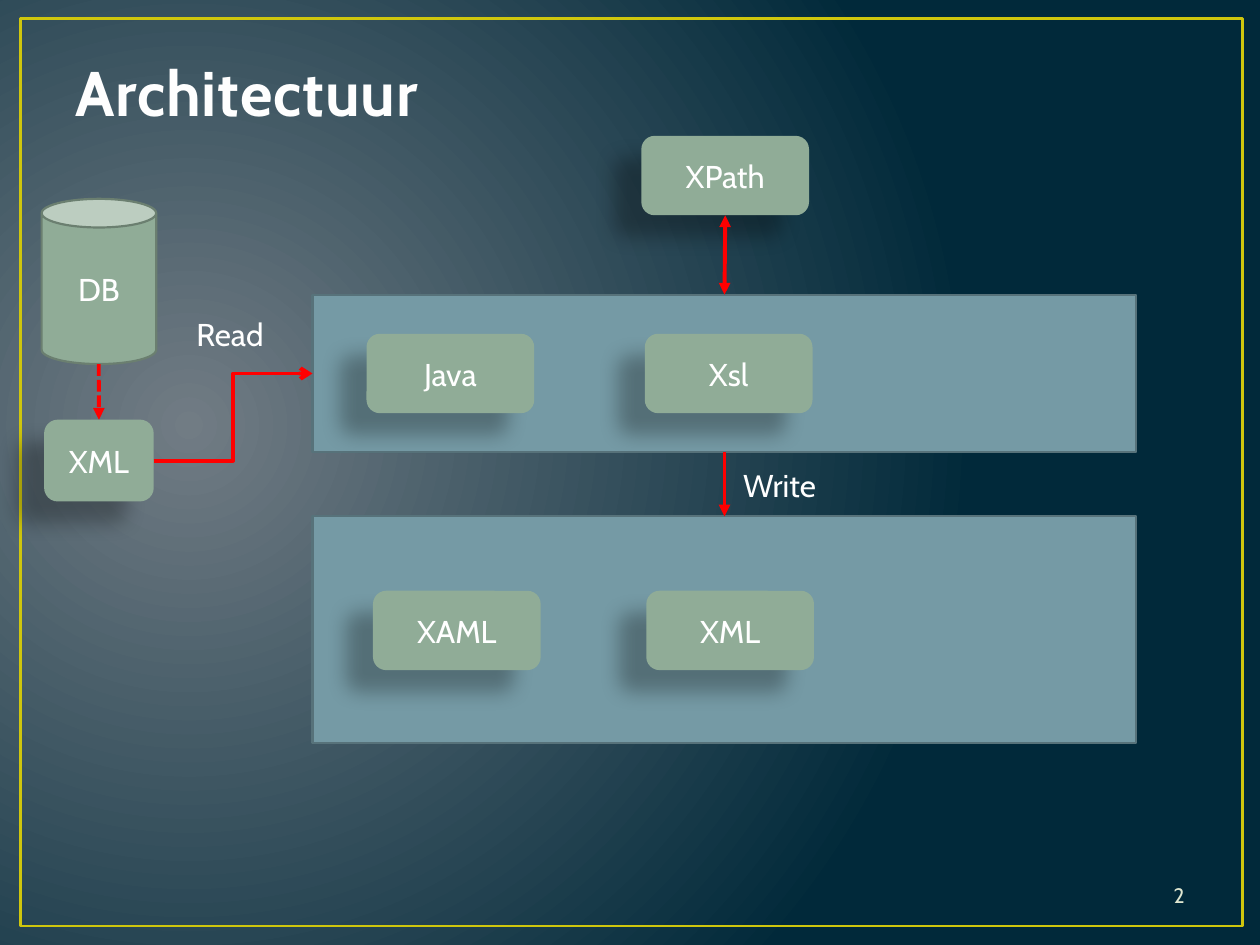
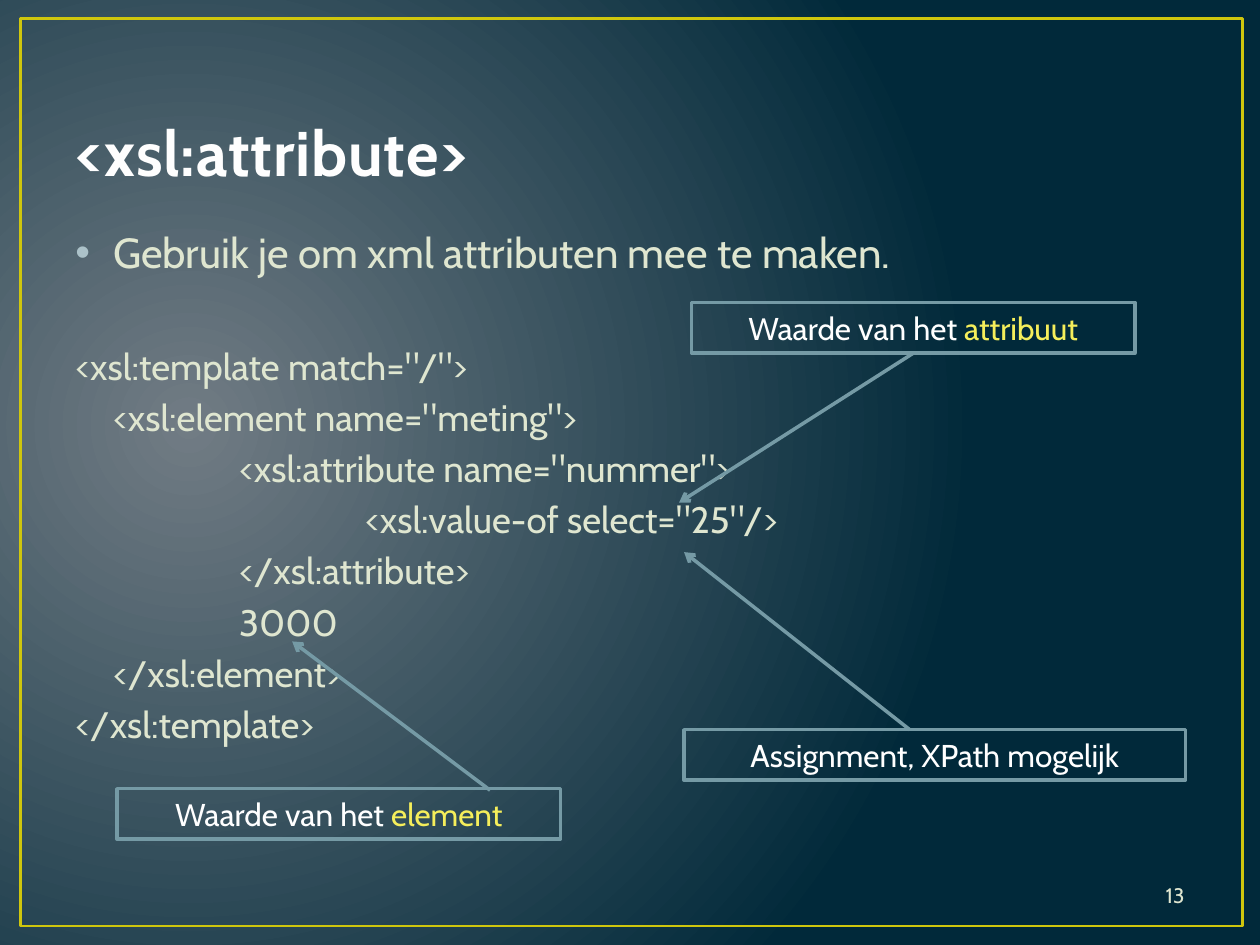
from dataclasses import dataclass

import pptx
import pptx.dml.color
import pptx.enum.dml
import pptx.enum.shapes
import pptx.enum.text
import pptx.oxml
import pptx.oxml.ns
import pptx.util
from pptx.util import Cm, Pt

SHAPES = pptx.enum.shapes.MSO_SHAPE
CONNECTORS = pptx.enum.shapes.MSO_CONNECTOR
ALIGN = pptx.enum.text.PP_ALIGN
ANCHOR = pptx.enum.text.MSO_ANCHOR
AUTO_SIZE = pptx.enum.text.MSO_AUTO_SIZE
DASH = pptx.enum.dml.MSO_LINE
qn = pptx.oxml.ns.qn


@dataclass(frozen=True)
class Theme:
    font: str = "Cabin"
    glow: str = "717C84"
    night: str = "01293A"
    frame: str = "CFC60D"
    title: str = "FEFEFE"
    title_outline: str = "384F55"
    body: str = "DFE6D0"
    bullet: str = "ACC2C9"
    label: str = "FFFFFF"
    accent: str = "F5EE5B"
    band: str = "759AA5"
    band_line: str = "57727A"
    node: str = "90AC97"
    node_line: str = "6B7F70"
    flow: str = "FF0000"
    title_size: float = 36
    body_size: float = 24
    code_size: float = 21
    label_size: float = 18
    number_size: float = 12


def rgb(value):
    return pptx.dml.color.RGBColor.from_string(value)


def apply(target, values):
    for name, value in values.items():
        setattr(target, name, value)


def xml(markup):
    namespace = pptx.oxml.ns.nsdecls("a")
    tag, rest = markup[1:].split(" ", 1)
    return pptx.oxml.parse_xml(f"<{tag} {namespace} {rest}")


class Deck:
    """Holds the style and the slide being built."""

    def __init__(self, theme):
        self.theme = theme
        self.presentation = pptx.Presentation()
        apply(self.presentation, {"slide_width": Cm(25.4), "slide_height": Cm(19.05)})
        self.slide = None

    def new_slide(self, title, title_box, number):
        self.slide = self.presentation.slides.add_slide(self.presentation.slide_layouts[6])
        self.background()
        self.shape(SHAPES.RECTANGLE, (0.41, 0.38, 24.64, 18.29), line=self.theme.frame, width=1.5)
        self.title(title, title_box)
        self.text_box((18.21, 17.53, 5.92, 1.02), number, self.theme.number_size,
                      self.theme.body, ALIGN.RIGHT, ANCHOR.MIDDLE)

    def background(self):
        fill = self.slide.background.fill
        fill.gradient()
        colors = (self.theme.glow, self.theme.night)
        for position, (stop, color) in enumerate(zip(fill.gradient_stops, colors)):
            stop.color.rgb = rgb(color)
            stop.position = position
        gradient = next(self.slide.element.iter(qn("a:gradFill")))
        gradient.replace(gradient.find(qn("a:lin")), xml(
            '<a:path path="circle"><a:fillToRect l="15000" t="50000" r="85000" b="60000"/></a:path>'))

    def text_run(self, paragraph, text, size, color, bold=False):
        run = paragraph.add_run()
        run.text = text
        apply(run.font, {"name": self.theme.font, "size": Pt(size), "bold": bold})
        run.font.color.rgb = rgb(color)
        return run

    def text_box(self, box, text, size, color, align=ALIGN.LEFT, anchor=ANCHOR.TOP, bold=False):
        shape = self.slide.shapes.add_textbox(*map(Cm, box))
        apply(shape.text_frame, {"word_wrap": True, "vertical_anchor": anchor})
        paragraph = shape.text_frame.paragraphs[0]
        paragraph.alignment = align
        return self.text_run(paragraph, text, size, color, bold)

    def title(self, text, box):
        run = self.text_box(box, text, self.theme.title_size, self.theme.title,
                            anchor=ANCHOR.BOTTOM, bold=True)
        properties = run.font._element
        properties.set("spc", "50")
        properties.insert(0, xml(
            f'<a:ln w="{Pt(1.05)}"><a:solidFill><a:srgbClr val="{self.theme.title_outline}"/>'
            '</a:solidFill></a:ln>'))

    def label(self, box, text):
        self.text_box(box, text, self.theme.label_size, self.theme.label)

    def shape(self, kind, box, fill=None, line=None, width=1.25):
        shape = self.slide.shapes.add_shape(kind, *map(Cm, box))
        shape.shadow.inherit = False
        if fill:
            shape.fill.solid()
            shape.fill.fore_color.rgb = rgb(fill)
        else:
            shape.fill.background()
        if line:
            shape.line.color.rgb = rgb(line)
            shape.line.width = Pt(width)
        else:
            shape.line.fill.background()
        return shape

    def caption(self, shape, *parts, anchor=ANCHOR.MIDDLE):
        apply(shape.text_frame, {"word_wrap": True, "vertical_anchor": anchor})
        paragraph = shape.text_frame.paragraphs[0]
        paragraph.alignment = ALIGN.CENTER
        for text, color in parts:
            self.text_run(paragraph, text, self.theme.label_size, color)

    def band(self, top, height):
        return self.shape(SHAPES.RECTANGLE, (6.3, top, 16.61, height),
                          self.theme.band, self.theme.band_line)

    def database(self, box, text):
        shape = self.shape(SHAPES.CAN, box, self.theme.node, self.theme.node_line)
        self.caption(shape, (text, self.theme.label))

    def node(self, text, left, top, width=3.38, height=1.6, kind=SHAPES.ROUNDED_RECTANGLE):
        shape = self.shape(kind, (left, top, width, height), self.theme.node)
        shape.element.spPr.find(qn("a:effectLst")).append(xml(
            f'<a:outerShdw blurRad="{Pt(11.8)}" dist="{Pt(19.7)}" dir="8460000" rotWithShape="0">'
            '<a:srgbClr val="000000"><a:alpha val="28000"/></a:srgbClr></a:outerShdw>'))
        self.caption(shape, (text, self.theme.label))
        return shape

    def callout(self, box, *parts):
        shape = self.shape(SHAPES.RECTANGLE, box, line=self.theme.band, width=2)
        self.caption(shape, *parts, anchor=ANCHOR.TOP)
        shape.text_frame.auto_size = AUTO_SIZE.SHAPE_TO_FIT_TEXT
        return shape

    def arrow(self, start, end, color, width, tail="triangle", head=None,
              kind=CONNECTORS.STRAIGHT, dash=None):
        """Each end is a point (x, y) in cm or a pair (shape, side)."""
        joined = [not isinstance(place[0], (int, float)) for place in (start, end)]
        points = [(0, 0) if glued else place for glued, place in zip(joined, (start, end))]
        connector = self.slide.shapes.add_connector(
            kind, *(Cm(value) for point in points for value in point))
        if joined[0]:
            connector.begin_connect(*start)
        if joined[1]:
            connector.end_connect(*end)
        connector.line.color.rgb = rgb(color)
        apply(connector.line, {"width": Pt(width), "dash_style": dash})
        line = connector.line._get_or_add_ln()
        for tag, arrowhead in (("headEnd", head), ("tailEnd", tail)):
            if arrowhead:
                line.append(xml(f'<a:{tag} type="{arrowhead}"/>'))
        connector._element.spPr.append(xml('<a:effectLst />'))

    def flow(self, start, end, **options):
        self.arrow(start, end, self.theme.flow, 2.25, **options)

    def pointer(self, start, end):
        self.arrow(start, end, self.theme.band, 2, tail="arrow")

    def body(self, box, intro, code):
        """One bulleted line, then code lines given as (level, text)."""
        shape = self.slide.shapes.add_textbox(*map(Cm, box))
        frame = shape.text_frame
        frame.word_wrap = True
        paragraph = frame.paragraphs[0]
        self.text_run(paragraph, intro, self.theme.body_size, self.theme.body)
        properties = paragraph._p.get_or_add_pPr()
        properties.set("marL", str(Cm(0.76)))
        properties.set("indent", str(Cm(-0.76)))
        properties.append(xml(f'<a:buClr ><a:srgbClr val="{self.theme.bullet}"/></a:buClr>'))
        properties.append(xml('<a:buFont typeface="Arial"/>'))
        properties.append(xml('<a:buChar char="•"/>'))
        for index, (level, text) in enumerate(code):
            paragraph = frame.add_paragraph()
            paragraph.space_before = Pt(4 if index else 38)
            margin = 0.76 + 2.54 * (level - 1) if level else 0
            paragraph._p.get_or_add_pPr().set("marL", str(Cm(margin)))
            self.text_run(paragraph, text, self.theme.code_size, self.theme.body)


def architecture(deck):
    deck.new_slide("Architectuur", (1.27, 0.74, 22.86, 1.98), "2")

    # Bands and the nodes on them
    output = deck.band(10.41, 4.57)
    process = deck.band(5.94, 3.18)
    for text, left, top in (("Java", 7.39, 6.73), ("Xsl", 13, 6.73),
                            ("XAML", 7.52, 11.91), ("XML", 13.03, 11.91)):
        deck.node(text, left, top)

    # Sources
    deck.database((0.84, 4.01, 2.31, 3.33), "DB")
    source = deck.node("XML", 0.89, 8.46, 2.21, 1.65)
    xpath = deck.node("XPath", 12.93, 2.74, kind=SHAPES.FLOWCHART_ALTERNATE_PROCESS)

    # Flow
    deck.flow((1.99, 7.34), (source, 0), dash=DASH.SQUARE_DOT)
    deck.flow((source, 3), (process, 1), tail="arrow", kind=CONNECTORS.ELBOW)
    deck.flow((xpath, 2), (process, 0), head="triangle")
    deck.flow((process, 2), (output, 0))
    deck.label((3.71, 6.22, 2.01, 1.02), "Read")
    deck.label((14.73, 9.27, 2.18, 1.02), "Write")


def attribute(deck):
    theme = deck.theme
    deck.new_slide("<xsl:attribute>", (1.27, 0.76, 22.86, 3.18), "13")

    # Explanation and code
    deck.body((1.27, 4.45, 22.86, 12.57), "Gebruik je om xml attributen mee te maken.", (
        (0, '<xsl:template match="/">'),
        (1, '<xsl:element name="meting">'),
        (2, '<xsl:attribute name="nummer">'),
        (3, '<xsl:value-of select="25"/>'),
        (2, '</xsl:attribute>'),
        (2, '3000'),
        (1, '</xsl:element>'),
        (0, '</xsl:template>'),
    ))

    # Callouts with their pointers
    deck.callout((13.79, 14.71, 10.11, 1.02), ("Assignment, XPath mogelijk", theme.label))
    deck.pointer((18.34, 14.71), (13.79, 11.13))
    value_of = ("Waarde van het ", theme.label)
    deck.callout((2.36, 15.9, 8.94, 1.02), value_of, ("element", theme.accent))
    deck.pointer((9.88, 15.93), (5.89, 12.93))
    value = deck.callout((13.94, 6.1, 8.94, 1.02), value_of, ("attribuut", theme.accent))
    deck.pointer((value, 2), (13.69, 10.13))


def main():
    deck = Deck(Theme())
    architecture(deck)
    attribute(deck)
    deck.presentation.save("out.pptx")


if __name__ == "__main__":
    main()
